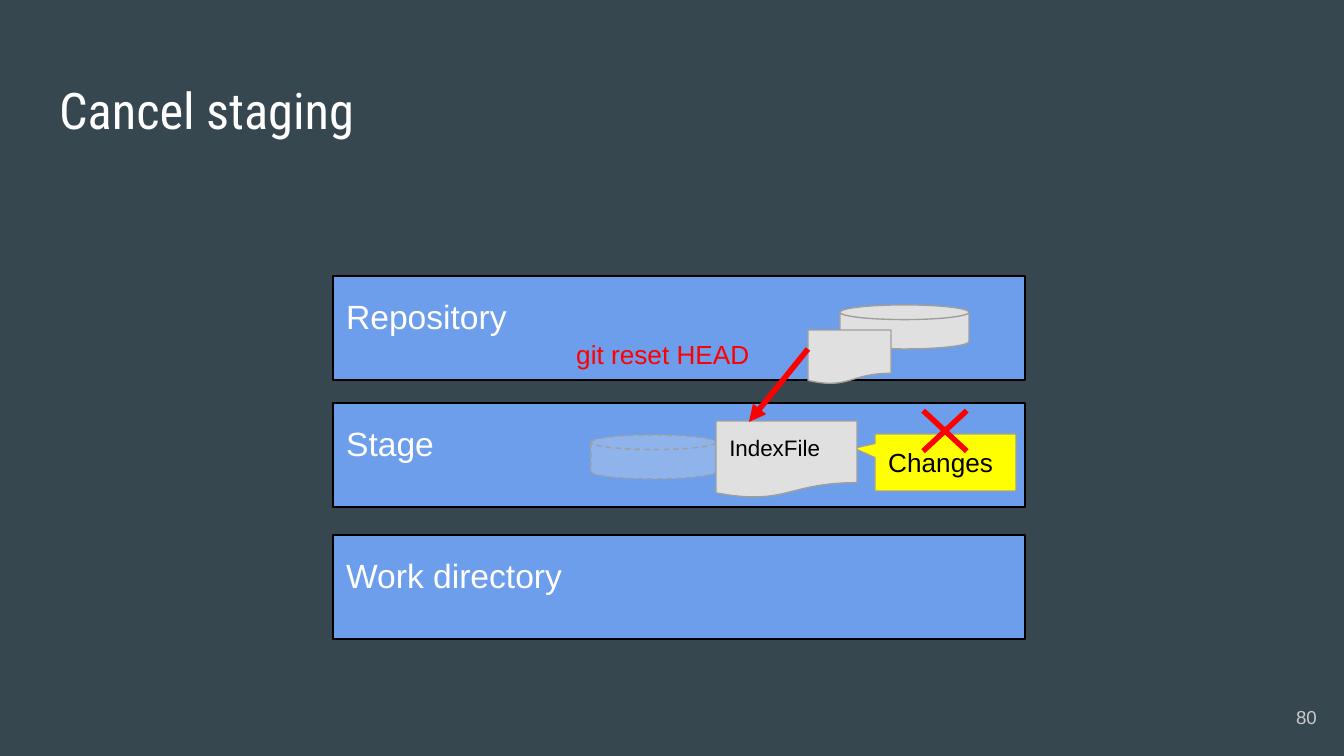
"""Build the "Cancel staging" slide: git areas with a reset arrow from repository to stage."""
from dataclasses import dataclass

from pptx import Presentation
from pptx.dml.color import RGBColor
from pptx.enum.shapes import MSO_CONNECTOR as Connector, MSO_SHAPE as Shape
from pptx.enum.dml import MSO_LINE as Dash
from pptx.enum.text import MSO_ANCHOR as Anchor, PP_ALIGN as Align
from pptx.oxml.ns import qn
from pptx.util import Pt
from lxml.etree import SubElement


@dataclass(frozen=True)
class Theme:
    background: str = "37474F"
    light: str = "FFFFFF"
    dark: str = "000000"
    area: str = "6D9EEB"
    file: str = "E0E0E0"
    ghost: str = "EEEEEE"
    outline: str = "9E9E9E"
    change: str = "FFFF00"
    reset: str = "FF0000"
    number: str = "CACACA"
    heading_font: str = "Roboto Condensed"
    body_font: str = "Arial"
    title_size: float = 27
    area_size: float = 18
    label_size: float = 14
    file_size: float = 12
    number_size: float = 10


THEME = Theme()
EMU_PER_PX = 914400 / 134.4
SLIDE_SIZE = (1344, 756)
INSET = Pt(7.2)

TITLE = ("Cancel staging", (46, 66, 1253, 85))
AREAS = [("Stage", 403), ("Repository", 276), ("Work directory", 535)]
AREA_LEFT, AREA_WIDTH, AREA_HEIGHT = 333, 692, 104
STAGED_DISK = (591, 435, 125, 44)
REPOSITORY_DISK = (840, 305, 129, 44)
PAGE = ("80", (1249, 688, 81, 58))
CHANGES = ("Changes", (875, 434, 141, 57))
CROSS = (903, 392, 84, 78)
COMMITTED_FILE = (808, 330, 83, 54)
COMMAND = ("git reset HEAD", (563, 325, 219, 59))
INDEX_FILE = ("IndexFile", (716, 421, 141, 77))
RESET_ARROW = (808, 349, 749, 422)


def px(*lengths):
    return [round(length * EMU_PER_PX) for length in lengths]


def color(code):
    return RGBColor.from_string(code)


def write(holder, text, size, ink, font=THEME.body_font, anchor=Anchor.TOP, align=Align.LEFT, wrap=True):
    frame = holder.text_frame
    frame.word_wrap = wrap
    frame.vertical_anchor = anchor
    frame.margin_left = frame.margin_right = frame.margin_top = frame.margin_bottom = INSET
    paragraph = frame.paragraphs[0]
    paragraph.text = text
    paragraph.alignment = align
    paragraph.font.name = font
    paragraph.font.size = Pt(size)
    paragraph.font.color.rgb = color(ink)
    return paragraph


def add_label(slide, content, size, ink, **style):
    text, box = content
    return write(slide.shapes.add_textbox(*px(*box)), text, size, ink, **style)


def add_figure(slide, preset, box, fill, line=THEME.outline):
    figure = slide.shapes.add_shape(preset, *px(*box))
    figure.shadow.inherit = False
    figure.fill.solid()
    figure.fill.fore_color.rgb = color(fill)
    if line:
        figure.line.color.rgb = color(line)
        figure.line.width = Pt(0.75)
    else:
        figure.line.fill.background()
    return figure


def add_areas(slide):
    for name, top in AREAS:
        box = (AREA_LEFT, top, AREA_WIDTH, AREA_HEIGHT)
        area = add_figure(slide, Shape.RECTANGLE, box, THEME.area, THEME.dark)
        paragraph = write(area, name, THEME.area_size, THEME.light)
        paragraph.line_spacing = 1.15
        paragraph.space_after = Pt(12)


def add_disks(slide):
    staged = add_figure(slide, Shape.FLOWCHART_MAGNETIC_DISK, STAGED_DISK, THEME.ghost)
    staged.line.dash_style = Dash.DASH
    tint = staged.fill._xPr.find(qn("a:solidFill"))[0]
    SubElement(tint, qn("a:alpha"), val="27000")
    add_figure(slide, Shape.FLOWCHART_MAGNETIC_DISK, REPOSITORY_DISK, THEME.file)


def add_changes(slide):
    text, box = CHANGES
    callout = add_figure(slide, Shape.ROUNDED_RECTANGULAR_CALLOUT, box, THEME.change)
    for index, value in enumerate((-0.65, -0.25, 0)):
        callout.adjustments[index] = value
    write(callout, text, THEME.label_size, THEME.dark, anchor=Anchor.MIDDLE)
    cross = add_figure(slide, Shape.MATH_MULTIPLY, CROSS, THEME.reset, None)
    cross.adjustments[0] = 0.07


def add_files(slide):
    add_figure(slide, Shape.FLOWCHART_DOCUMENT, COMMITTED_FILE, THEME.file)
    add_label(slide, COMMAND, THEME.label_size, THEME.reset)
    text, box = INDEX_FILE
    index_file = add_figure(slide, Shape.FLOWCHART_DOCUMENT, box, THEME.file)
    write(index_file, text, THEME.file_size, THEME.dark)


def add_reset_arrow(slide):
    arrow = slide.shapes.add_connector(Connector.STRAIGHT, *px(*RESET_ARROW))
    arrow.line.color.rgb = color(THEME.reset)
    arrow.line.width = Pt(3)
    SubElement(arrow.line._get_or_add_ln(), qn("a:tailEnd"), type="triangle")
    SubElement(arrow._element.spPr, qn("a:effectLst"))


def main():
    deck = Presentation()
    deck.slide_width, deck.slide_height = px(*SLIDE_SIZE)
    slide = deck.slides.add_slide(deck.slide_layouts[6])
    slide.background.fill.solid()
    slide.background.fill.fore_color.rgb = color(THEME.background)
    add_label(slide, TITLE, THEME.title_size, THEME.light, font=THEME.heading_font)
    add_areas(slide)
    add_disks(slide)
    add_label(slide, PAGE, THEME.number_size, THEME.number, anchor=Anchor.MIDDLE, align=Align.RIGHT)
    add_changes(slide)
    add_files(slide)
    add_reset_arrow(slide)
    deck.save("out.pptx")


if __name__ == "__main__":
    main()
